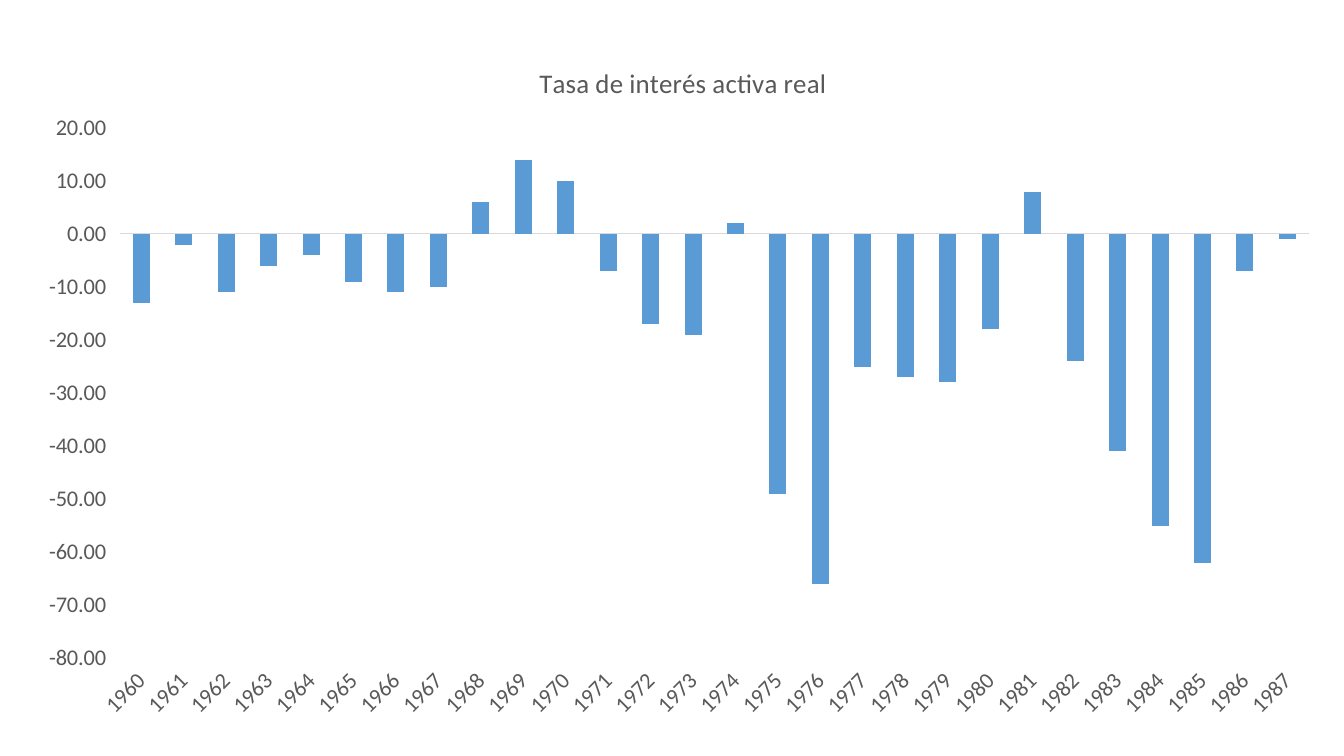
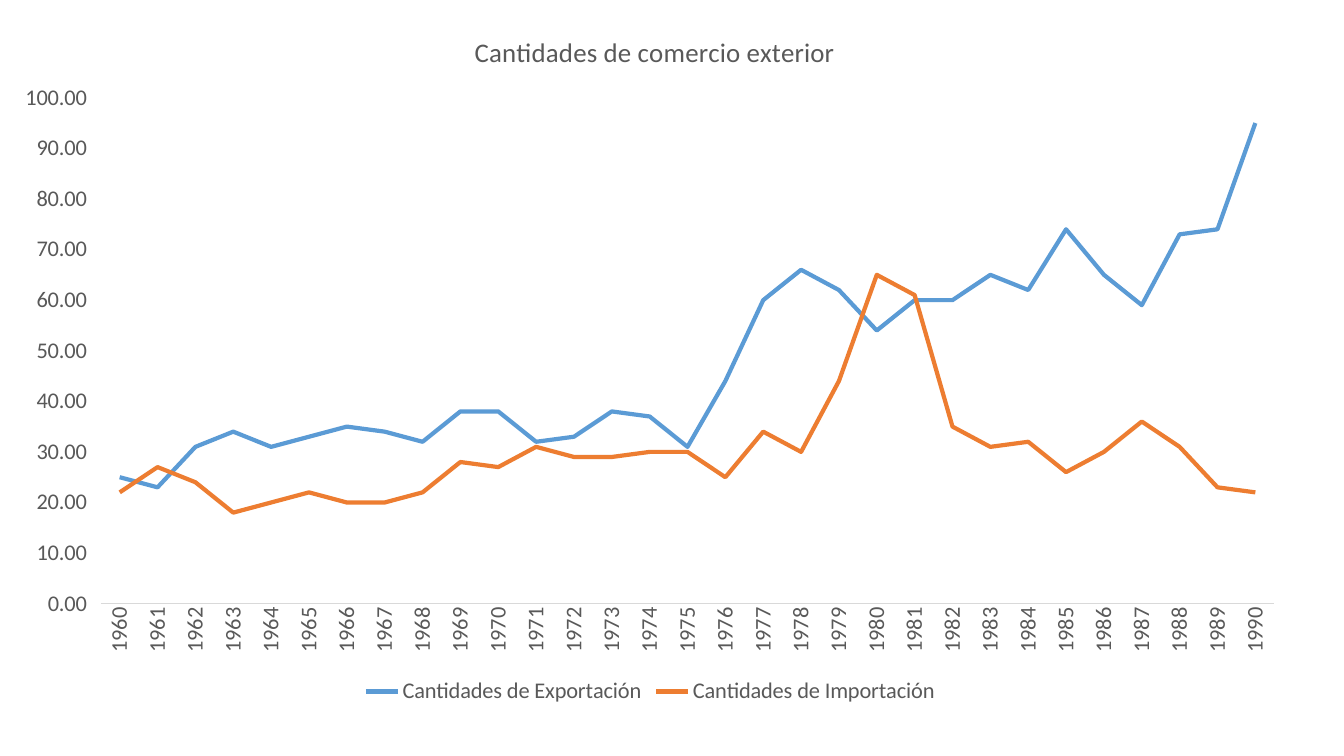
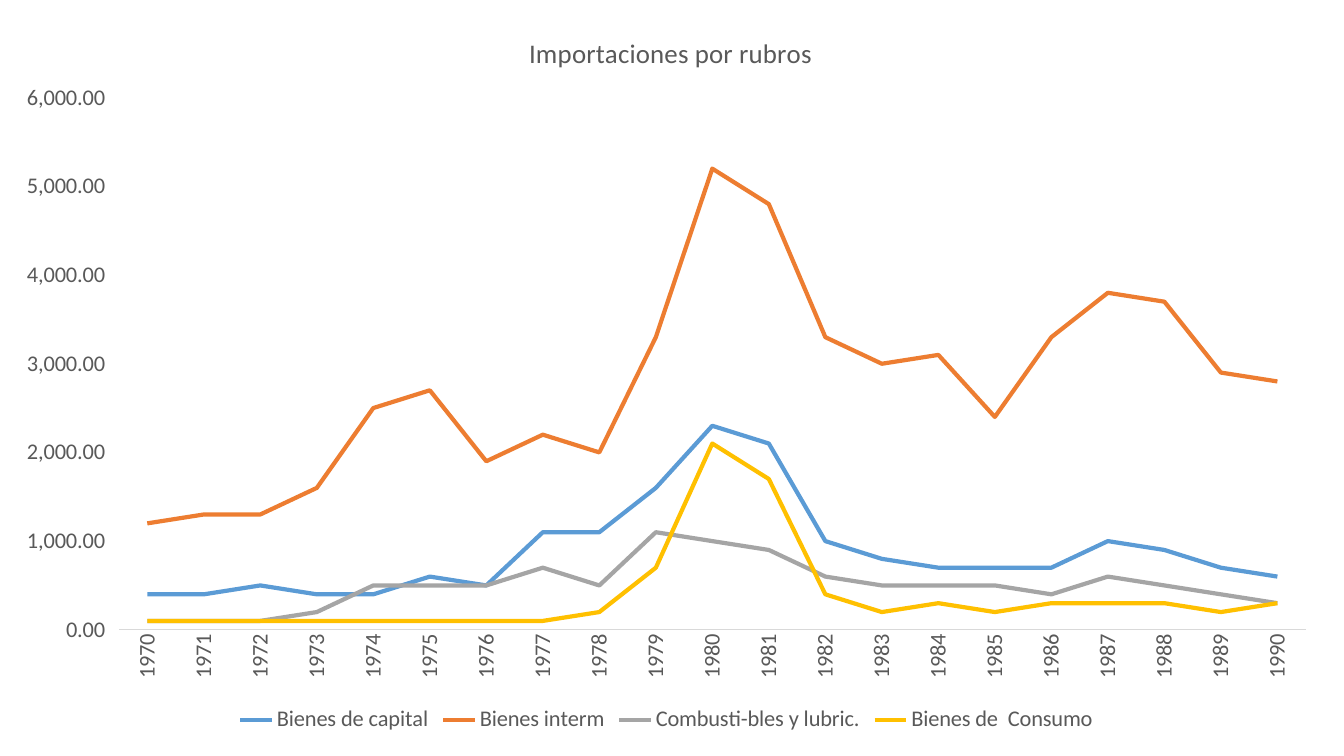
from dataclasses import dataclass

from lxml import etree
from pptx import Presentation
from pptx.chart.data import CategoryChartData
from pptx.dml.color import RGBColor
from pptx.enum import chart as kinds
from pptx.oxml.ns import qn
from pptx.util import Inches, Pt

FONT = "Calibri"
TEXT_GRAY = RGBColor(0x59, 0x59, 0x59)
AXIS_GRAY = RGBColor(0xD9, 0xD9, 0xD9)
SERIES_COLORS = (
    RGBColor(0x5B, 0x9B, 0xD5),
    RGBColor(0xED, 0x7D, 0x31),
    RGBColor(0xA5, 0xA5, 0xA5),
    RGBColor(0xFF, 0xC0, 0x00),
)
NUMBER_FORMAT = r"#,##0.00\ \ "
COLUMNS = kinds.XL_CHART_TYPE.COLUMN_CLUSTERED
LINES = kinds.XL_CHART_TYPE.LINE

Box = tuple[float, float, float, float]


@dataclass(frozen=True)
class ChartSlide:
    """One chart; boxes are left, top, width and height in inches on the slide."""
    title: str
    kind: kinds.XL_CHART_TYPE
    frame: Box
    plot: Box
    title_at: tuple[float, float]
    years: range
    scale: tuple[int, int, int]
    label_angle: int
    series: dict[str, list[int]]


CHARTS = (
    ChartSlide(
        "Tasa de interés activa real", COLUMNS,
        (0.22, 0.31, 13.01, 6.97), (1.19, 1.27, 11.79, 5.26), (5.3, 0.59),
        range(1960, 1988), (-80, 20, 10), -45,
        {"Series 1": [-13, -2, -11, -6, -4, -9, -11, -10, 6, 14, 10, -7, -17, -19,
                      2, -49, -66, -25, -27, -28, -18, 8, -24, -41, -55, -62, -7, -1]},
    ),
    ChartSlide(
        "Cantidades de comercio exterior", LINES,
        (0, 0, 12.9, 7.04), (1.0, 0.97, 11.64, 5.02), (4.66, 0.28),
        range(1960, 1991), (0, 100, 10), -90,
        {
            "Cantidades de Exportación": [
                25, 23, 31, 34, 31, 33, 35, 34, 32, 38, 38, 32, 33, 38, 37, 31,
                44, 60, 66, 62, 54, 60, 60, 65, 62, 74, 65, 59, 73, 74, 95],
            "Cantidades de Importación": [
                22, 27, 24, 18, 20, 22, 20, 20, 22, 28, 27, 31, 29, 29, 30, 30,
                25, 34, 30, 44, 65, 61, 35, 31, 32, 26, 30, 36, 31, 23, 22],
        },
    ),
    ChartSlide(
        "Importaciones por rubros", LINES,
        (0, 0, 13.22, 7.32), (1.18, 0.97, 11.77, 5.28), (5.2, 0.29),
        range(1970, 1991), (0, 6000, 1000), -90,
        {
            "Bienes de capital": [
                400, 400, 500, 400, 400, 600, 500, 1100, 1100, 1600, 2300,
                2100, 1000, 800, 700, 700, 700, 1000, 900, 700, 600],
            "Bienes interm": [
                1200, 1300, 1300, 1600, 2500, 2700, 1900, 2200, 2000, 3300, 5200,
                4800, 3300, 3000, 3100, 2400, 3300, 3800, 3700, 2900, 2800],
            "Combusti-bles y lubric.": [
                100, 100, 100, 200, 500, 500, 500, 700, 500, 1100, 1000,
                900, 600, 500, 500, 500, 400, 600, 500, 400, 300],
            "Bienes de  Consumo": [
                100, 100, 100, 100, 100, 100, 100, 100, 200, 700, 2100,
                1700, 400, 200, 300, 200, 300, 300, 300, 200, 300],
        },
    ),
)


def style_font(font, size: float = 16) -> None:
    font.name = FONT
    font.size = Pt(size)
    font.bold = False
    font.color.rgb = TEXT_GRAY


def set_layout(parent, index: int, place: tuple[float, ...], frame: Box, inner: bool = False) -> None:
    """Fix a chart part at a slide position, written as fractions of the chart frame."""
    for old in parent.findall(qn("c:layout")):
        parent.remove(old)
    layout = etree.Element(qn("c:layout"))
    manual = etree.SubElement(layout, qn("c:manualLayout"))
    left, top, width, height = frame
    fractions = [(place[0] - left) / width, (place[1] - top) / height]
    fractions += [size / full for size, full in zip(place[2:], (width, height))]
    settings = [("layoutTarget", "inner")] if inner else []
    settings += [("xMode", "edge"), ("yMode", "edge")]
    settings += [(name, f"{value:.4f}") for name, value in zip("xywh", fractions)]
    for name, value in settings:
        etree.SubElement(manual, qn(f"c:{name}"), val=value)
    parent.insert(index, layout)


def style_title(chart, content: ChartSlide) -> None:
    chart.has_title = True
    title = chart.chart_title
    span = title.text_frame.paragraphs[0].add_run()
    span.text = content.title
    style_font(span.font, 19.2)
    title.include_in_layout = False
    set_layout(title._element, 1, content.title_at, content.frame)


def style_axes(chart, content: ChartSlide) -> None:
    for axis in (chart.category_axis, chart.value_axis):
        axis.has_major_gridlines = False
        axis.major_tick_mark = axis.minor_tick_mark = kinds.XL_TICK_MARK.NONE
        style_font(axis.tick_labels.font)

    years = chart.category_axis
    years.format.line.color.rgb = AXIS_GRAY
    years.format.line.width = Pt(0.75)
    body = years._element.find(qn("c:txPr")).find(qn("a:bodyPr"))
    body.set("rot", str(content.label_angle * 60000))
    body.set("vert", "horz")
    if content.kind == COLUMNS:
        years.tick_label_position = kinds.XL_TICK_LABEL_POSITION.LOW

    values = chart.value_axis
    values.format.line.fill.background()
    values.minimum_scale, values.maximum_scale, values.major_unit = content.scale
    values.tick_labels.number_format = NUMBER_FORMAT
    values.tick_labels.number_format_is_linked = False


def style_series(chart, content: ChartSlide) -> None:
    plot = chart.plots[0]
    plot.vary_by_categories = False
    if content.kind == COLUMNS:
        plot.gap_width = 150
    for series, color in zip(plot.series, SERIES_COLORS):
        if content.kind == COLUMNS:
            series.invert_if_negative = False
            series.format.fill.solid()
            series.format.fill.fore_color.rgb = color
        else:
            series.smooth = False
            series.marker.style = kinds.XL_MARKER_STYLE.NONE
            series.format.line.color.rgb = color
            series.format.line.width = Pt(3)


def add_chart_slide(deck, content: ChartSlide) -> None:
    page = deck.slides.add_slide(deck.slide_layouts[6])
    data = CategoryChartData(number_format=NUMBER_FORMAT)
    data.categories = [str(year) for year in content.years]
    for name, values in content.series.items():
        data.add_series(name, values)
    frame = [Inches(length) for length in content.frame]
    chart = page.shapes.add_chart(content.kind, *frame, data).chart
    style_font(chart.font)

    style_title(chart, content)
    style_axes(chart, content)
    style_series(chart, content)
    plot_area = chart._chartSpace.find(qn("c:chart")).find(qn("c:plotArea"))
    set_layout(plot_area, 0, content.plot, content.frame, inner=True)

    chart.has_legend = len(content.series) > 1
    if chart.has_legend:
        chart.legend.position = kinds.XL_LEGEND_POSITION.BOTTOM
        chart.legend.include_in_layout = False
        style_font(chart.legend.font)


def main() -> None:
    deck = Presentation()
    deck.slide_width = Inches(13.33)
    deck.slide_height = Inches(7.5)
    for content in CHARTS:
        add_chart_slide(deck, content)
    deck.save("out.pptx")


if __name__ == "__main__":
    main()
